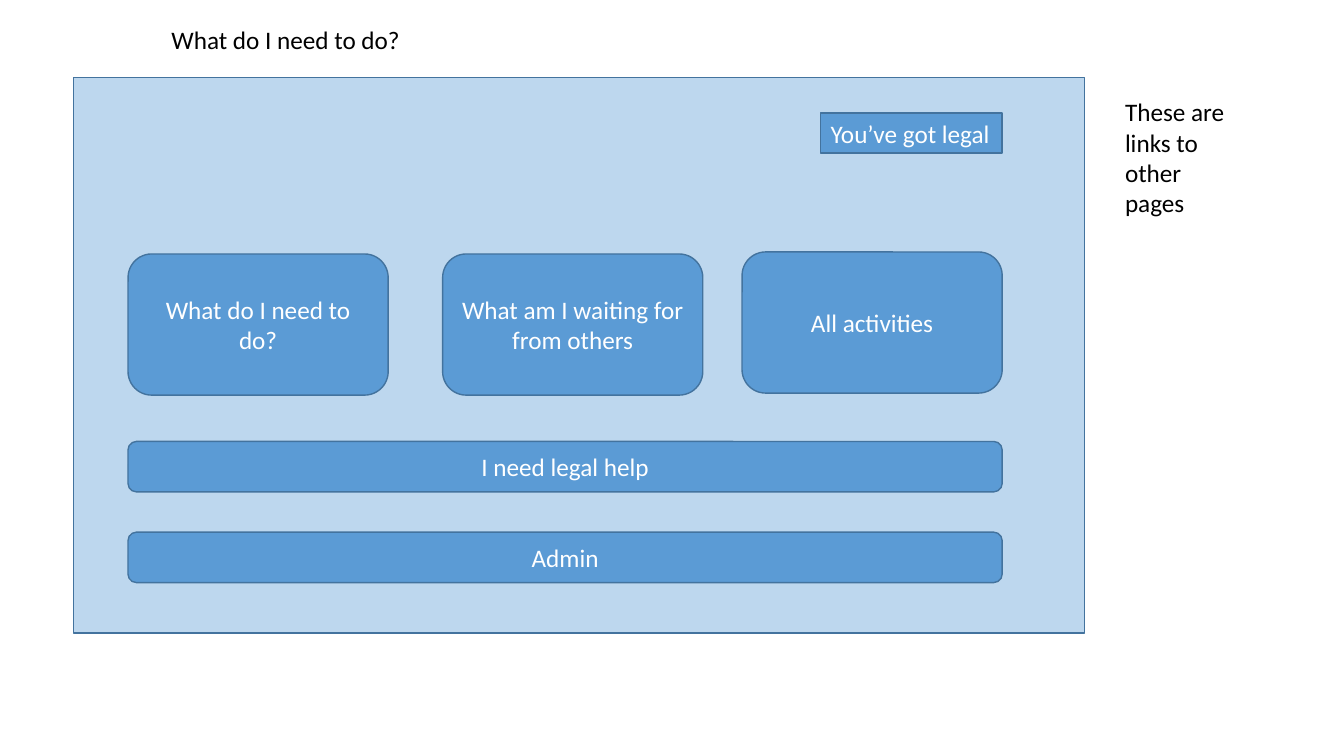
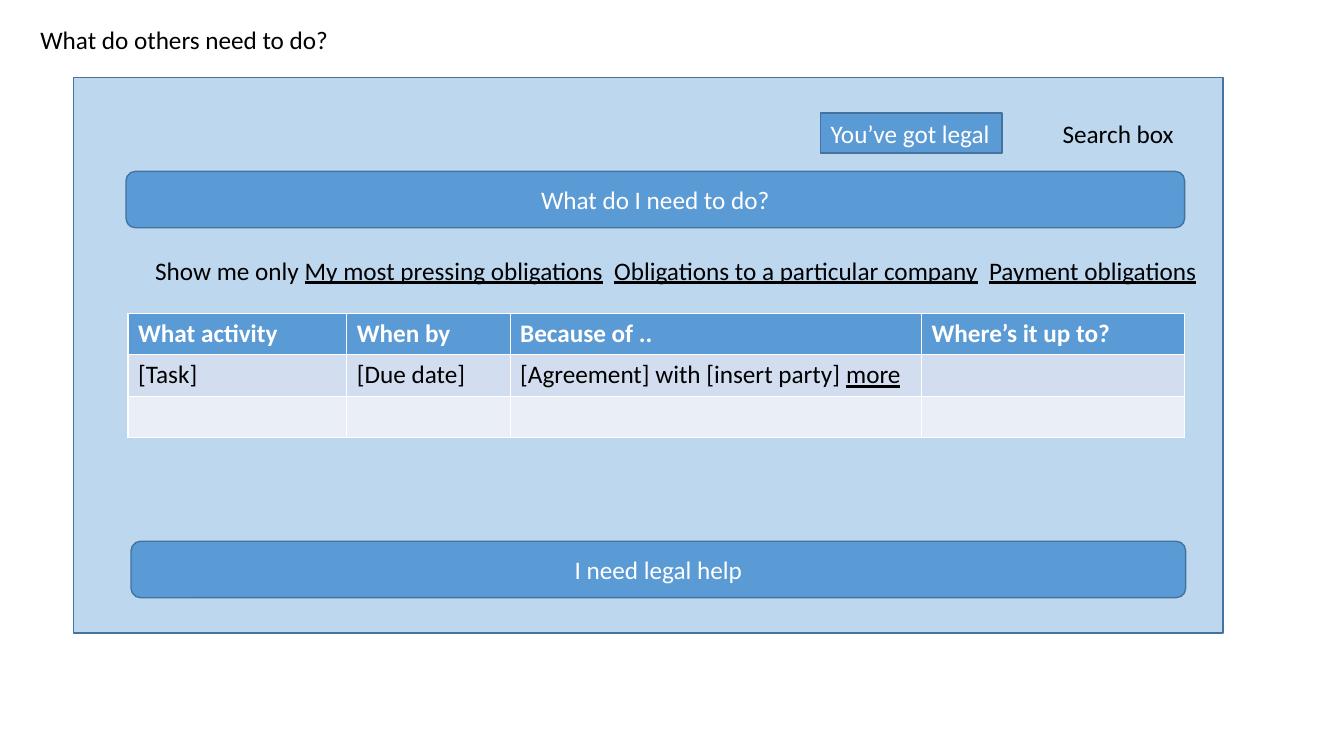
from pptx import Presentation
from pptx.dml.color import RGBColor
from pptx.enum.shapes import MSO_SHAPE as Kind
from pptx.enum.text import MSO_ANCHOR as Anchor, MSO_AUTO_SIZE as Auto, PP_ALIGN as Align
from pptx.util import Inches, Pt

PALE = RGBColor(0xBD, 0xD7, 0xEE)
BLUE = RGBColor(0x5B, 0x9B, 0xD5)
EDGE = RGBColor(0x43, 0x73, 0x9E)
WHITE = RGBColor(0xFF, 0xFF, 0xFF)
BLACK = RGBColor(0, 0, 0)
BANDS = [BLUE, RGBColor(0xD2, 0xDE, 0xEF), RGBColor(0xEA, 0xEF, 0xF7)]
FONT, SIZE = "Calibri", Pt(18)

HEADS = ["What activity", "When by", "Because of ..", "Where’s it up to?"]
TASK = ["[Task]", "[Due date]", "[Agreement] with [insert party] ", ""]
COLS = [2.17, 1.62, 4.08, 2.61]
LINKS = ["My most pressing obligations",
         "Obligations to a particular company", "Payment obligations"]


def inches(*box):
    """Turn a box of numbers into lengths."""
    return [Inches(n) for n in box]


def style(para, color, align=Align.LEFT, bold=False):
    """Give a paragraph the shared type style."""
    para.alignment = align
    font = para.font
    font.name, font.size, font.bold = FONT, SIZE, bold
    font.color.rgb = color


def fit(frame, wrap=False):
    """Set a frame to grow with its text from the top."""
    frame.word_wrap = wrap
    frame.auto_size = Auto.SHAPE_TO_FIT_TEXT
    frame.vertical_anchor = Anchor.TOP


def panel(slide, kind, box, fill):
    """Draw a filled, outlined shape."""
    shape = slide.shapes.add_shape(kind, *inches(*box))
    shape.shadow.inherit = False
    shape.fill.solid()
    shape.fill.fore_color.rgb = fill
    shape.line.color.rgb = EDGE
    shape.line.width = Pt(1)
    return shape


def button(slide, text, *box):
    """Draw a rounded button with a centred label."""
    frame = panel(slide, Kind.ROUNDED_RECTANGLE, box, BLUE).text_frame
    frame.vertical_anchor = Anchor.MIDDLE
    frame.text = text
    style(frame.paragraphs[0], WHITE, Align.CENTER)


def label(slide, text, *box, wrap=False):
    """Add a plain text box and return its paragraph."""
    frame = slide.shapes.add_textbox(*inches(*box)).text_frame
    fit(frame, wrap)
    frame.text = text
    style(frame.paragraphs[0], BLACK)
    return frame.paragraphs[0]


def page(deck, title, left, width, wide):
    """Start a slide with its title, screen panel and legal tag."""
    slide = deck.slides.add_slide(deck.slide_layouts[5])
    head = slide.shapes.title
    head.left, head.top, head.width, head.height = inches(left, 0.19, width, 0.4)
    head.text_frame.text = title
    fit(head.text_frame)
    style(head.text_frame.paragraphs[0], BLACK)
    panel(slide, Kind.RECTANGLE, (0.73, 0.77, wide, 5.51), PALE)
    tag = panel(slide, Kind.RECTANGLE, (8.14, 1.12, 1.8, 0.4), BLUE).text_frame
    fit(tag)
    tag.text = "You’ve got legal"
    style(tag.paragraphs[0], WHITE)
    return slide


def filters(slide, *box):
    """Add the line of underlined filter links."""
    para = label(slide, "Show me only ", *box)
    for i, text in enumerate(LINKS):
        if i:
            gap = para.add_run()
            gap.text = " "
            gap._r.get_or_add_rPr().set("spc", "400")
        link = para.add_run()
        link.text = text
        link.font.underline = True


def tasks(slide, left, top, high):
    """Add the table of activities."""
    rows = [HEADS, TASK, [""] * len(HEADS)]
    box = inches(left, top, sum(COLS), high * len(rows))
    table = slide.shapes.add_table(len(rows), len(COLS), *box).table
    for col, wide in zip(table.columns, COLS):
        col.width = Inches(wide)
    for r, row in enumerate(rows):
        for c, text in enumerate(row):
            cell = table.cell(r, c)
            cell.fill.solid()
            cell.fill.fore_color.rgb = BANDS[r]
            cell.text = text
            style(cell.text_frame.paragraphs[0], BLACK if r else WHITE, bold=r == 0)
    more = table.cell(1, 2).text_frame.paragraphs[0].add_run()
    more.text = "more"
    more.font.underline = True


def home(deck):
    """Build the start screen with its buttons."""
    slide = page(deck, "What do I need to do?", 1.6, 2.5, 10.03)
    for text, left, top in [("What do I need to do?", 1.27, 2.52),
                            ("What am I waiting for from others", 4.39, 2.52),
                            ("All activities", 7.36, 2.5)]:
        button(slide, text, left, top, 2.58, 1.4)
    for text, top in [("I need legal help", 4.38), ("Admin", 5.28)]:
        button(slide, text, 1.27, top, 8.67, 0.5)
    label(slide, "These are links to other pages", 11.06, 0.91, 1.37, 1.31, wrap=True)


def listing(deck):
    """Build the screen that lists activities."""
    slide = page(deck, "What do others need to do?", 0.3, 3.09, 11.4)
    button(slide, "What do I need to do?", 1.25, 1.7, 10.5, 0.56)
    button(slide, "I need legal help", 1.3, 5.37, 10.46, 0.56)
    tasks(slide, 1.27, 3.11, 0.41)
    filters(slide, 1.44, 2.48, 10.55, 0.4)
    label(slide, "Search box", 10.44, 1.12, 1.32, 0.4)


deck = Presentation()
deck.slide_width, deck.slide_height = inches(13.33, 7.5)
home(deck)
listing(deck)
deck.save("out.pptx")
